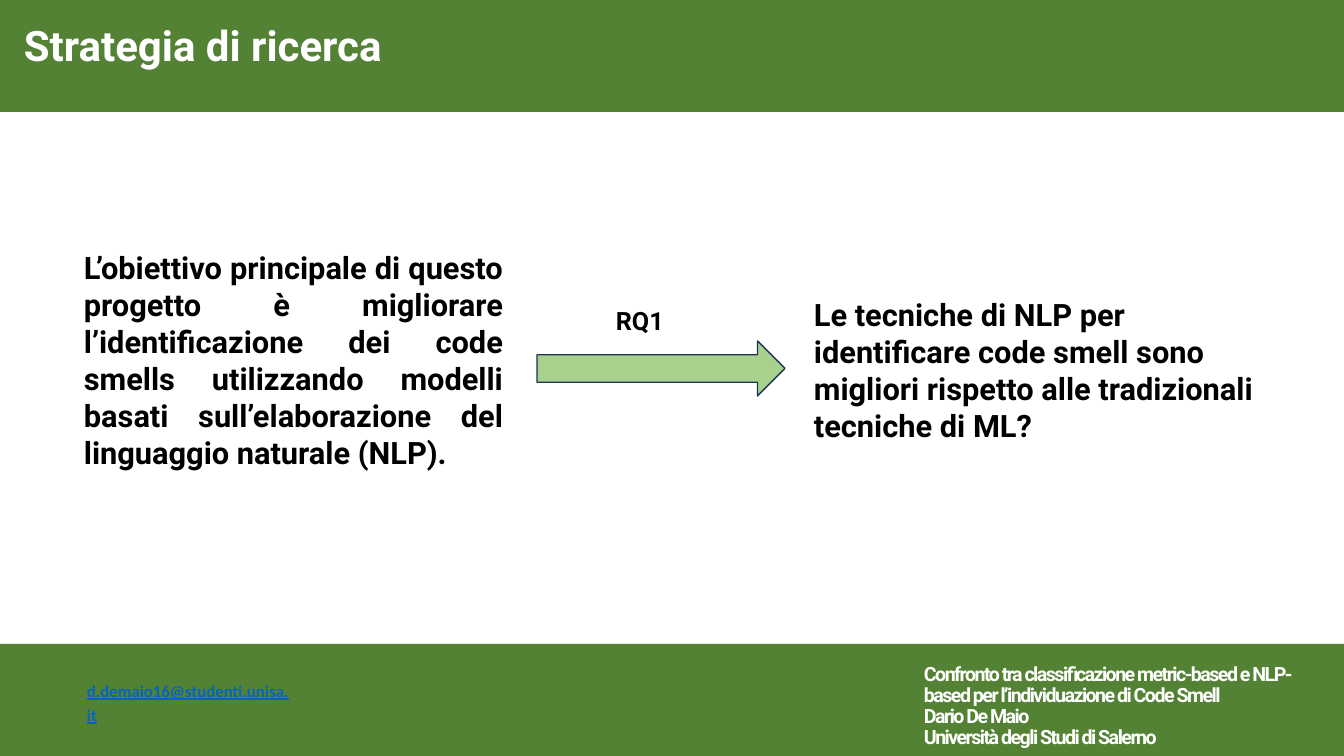
import pptx
import pptx.dml.color
import pptx.enum.shapes
import pptx.enum.text
import pptx.util

EMU_PER_PX = 914400 / 100.8
SLIDE_WIDTH, SLIDE_HEIGHT = 1344, 756
BAND_HEIGHT = 112
GREEN, LIGHT_GREEN, NAVY = "548235", "A9D18E", "1E3256"
WHITE, BLACK, LINK_BLUE = "FFFFFF", "000000", "0563C1"
SHAPES = pptx.enum.shapes.MSO_SHAPE
ALIGN = pptx.enum.text.PP_ALIGN
ANCHOR = pptx.enum.text.MSO_ANCHOR


def px(length):
    return pptx.util.Emu(round(length * EMU_PER_PX))


def color(hex_value):
    return pptx.dml.color.RGBColor.from_string(hex_value)


def add_filled_shape(page, kind, left, top, width, height, fill, line=None):
    shape = page.shapes.add_shape(kind, px(left), px(top), px(width), px(height))
    shape.shadow.inherit = False
    shape.fill.solid()
    shape.fill.fore_color.rgb = color(fill)
    if line:
        shape.line.color.rgb = color(line)
        shape.line.width = pptx.util.Pt(1)
    else:
        shape.line.fill.background()


def add_bold_text(page, text, left, top, width, height, size, ink=BLACK,
                  font="Roboto", align=ALIGN.LEFT, anchor=ANCHOR.TOP):
    """Add a wrapped one-paragraph text box and return its paragraph."""
    box = page.shapes.add_textbox(px(left), px(top), px(width), px(height))
    frame = box.text_frame
    frame.word_wrap = True
    frame.vertical_anchor = anchor
    para = frame.paragraphs[0]
    para.text = text
    para.alignment = align
    para.font.name = font
    para.font.size = pptx.util.Pt(size)
    para.font.bold = True
    para.font.color.rgb = color(ink)
    return para


def add_email(page):
    para = add_bold_text(page, "d.demaio16@studenti.unisa.it", 83, 673, 210, 55,
                         12, LINK_BLUE, "Calibri", anchor=ANCHOR.MIDDLE)
    para.font.underline = True
    para.line_spacing = 1.2
    # The narrow margins make the address break before its last two letters.
    frame = page.shapes[-1].text_frame
    frame.margin_left = frame.margin_right = px(4)
    frame.margin_top = frame.margin_bottom = px(4)


def add_footer_title(page):
    text = "\v".join([
        "Confronto tra classificazione metric-based e NLP-based "
        "per l’individuazione di Code Smell",
        "Dario De Maio",
        "Università degli Studi di Salerno",
    ])
    para = add_bold_text(page, text, 914, 662, 408, 92, 14, WHITE,
                         anchor=ANCHOR.BOTTOM)
    para.line_spacing = 0.9
    for span in para.runs:
        span.font.size = pptx.util.Pt(14)
        span._r.get_or_add_rPr().set("spc", "-110")


def main():
    deck = pptx.Presentation()
    deck.slide_width, deck.slide_height = px(SLIDE_WIDTH), px(SLIDE_HEIGHT)
    page = deck.slides.add_slide(deck.slide_layouts[6])

    for top in (SLIDE_HEIGHT - BAND_HEIGHT, 0):
        add_filled_shape(page, SHAPES.RECTANGLE, 0, top, SLIDE_WIDTH,
                         BAND_HEIGHT, GREEN)
    add_email(page)
    add_footer_title(page)
    add_bold_text(page, "Strategia di ricerca", 14, 15, 830, 61, 30, WHITE)

    add_bold_text(
        page,
        "L’obiettivo principale di questo progetto è migliorare "
        "l’identificazione dei code smells utilizzando modelli basati "
        "sull’elaborazione del linguaggio naturale (NLP).",
        74, 244, 439, 234, 22, align=ALIGN.JUSTIFY)
    add_filled_shape(page, SHAPES.RIGHT_ARROW, 537, 341, 248, 55,
                     LIGHT_GREEN, NAVY)
    add_bold_text(page, "RQ1", 606, 300, 80, 40, 18, align=ALIGN.JUSTIFY)
    add_bold_text(
        page,
        "Le tecniche di NLP per identificare code smell sono migliori "
        "rispetto alle tradizionali tecniche di ML?",
        804, 291, 468, 159, 22)

    deck.save("out.pptx")


if __name__ == "__main__":
    main()
